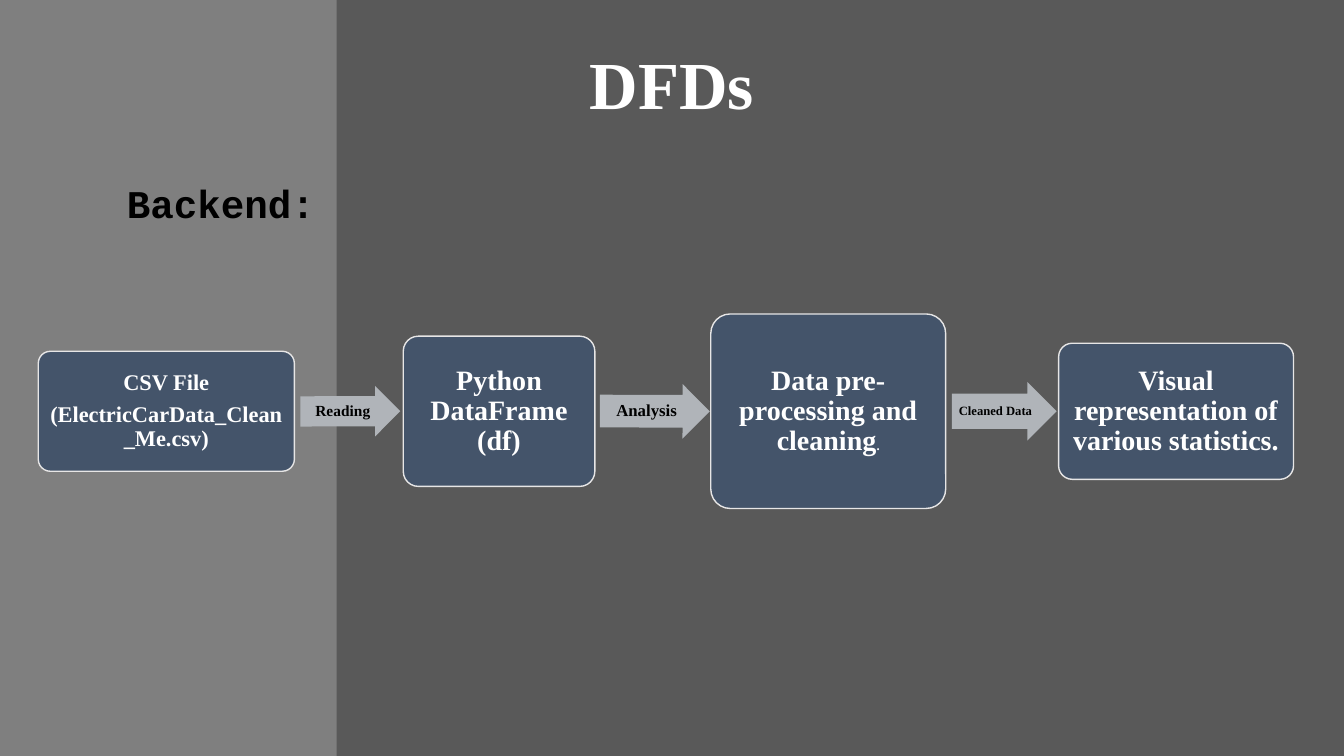
from dataclasses import dataclass

from lxml.etree import SubElement
from pptx import Presentation
from pptx.dml.color import RGBColor as RGB
from pptx.enum.shapes import MSO_SHAPE as Shape
from pptx.enum.text import MSO_ANCHOR as Anchor, MSO_AUTO_SIZE as Fit, PP_ALIGN as Align
from pptx.oxml.ns import qn
from pptx.util import Inches, Pt


@dataclass(frozen=True)
class Theme:
    back: str = "595959"
    panel: str = "A5A5A5"
    box: str = "44546A"
    edge: str = "E7E6E6"
    arrow: str = "B0B4B9"
    light: str = "FFFFFF"
    dark: str = "000000"
    serif: str = "Times New Roman"
    mono: str = "Courier New"
    title: int = 48
    head: int = 28
    body: int = 20
    small: int = 16
    dot: int = 9


MID = 4.08  # height of the flow's centre line

# left, width, height, inset, size, paragraphs, closing mark
STEPS = [
    (0.38, 2.54, 1.19, 0.07, Theme.small, ["CSV File", "(ElectricCarData_Clean_Me.csv)"], ""),
    (4.00, 1.90, 1.49, 0.08, Theme.body, ["Python DataFrame (df)"], ""),
    (7.05, 2.33, 1.93, 0.08, Theme.body, ["Data pre-processing and cleaning"], "."),
    (10.50, 2.33, 1.35, 0.08, Theme.body, ["Visual representation of various statistics."], ""),
]

# left, width, height, turn, size, label
FLOWS = [
    (2.98, 0.99, 0.50, 359.8, 11, "Reading"),
    (5.95, 1.09, 0.54, 0.2, 12, "Analysis"),
    (9.44, 1.04, 0.58, 0, 9, "Cleaned Data"),
]


class Deck:
    def __init__(self, theme):
        self.theme = theme
        self.prs = Presentation()
        self.prs.slide_width, self.prs.slide_height = Inches(13.33), Inches(7.5)
        self.slide = self.prs.slides.add_slide(self.prs.slide_layouts[5])
        fill = self.slide.background.fill
        fill.solid()
        fill.fore_color.rgb = RGB.from_string(theme.back)

    def style(self, para, size, color, face):
        font = para.font
        font.name, font.size, font.bold = face, Pt(size), True
        font.color.rgb = RGB.from_string(color)

    def shape(self, kind, left, top, width, height, color):
        shape = self.slide.shapes.add_shape(
            kind, Inches(left), Inches(top), Inches(width), Inches(height))
        shape.shadow.inherit = False
        shape.fill.solid()
        shape.fill.fore_color.rgb = RGB.from_string(color)
        shape.line.fill.background()
        return shape

    def label(self, shape, lines, size, color, inset):
        """Write centred lines inside a shape."""
        frame = shape.text_frame
        frame.word_wrap = True
        frame.vertical_anchor = Anchor.MIDDLE
        frame.margin_left = frame.margin_right = Inches(inset)
        frame.margin_top = frame.margin_bottom = Inches(inset)
        frame.text = "\n".join(lines)
        for para in frame.paragraphs:
            para.alignment, para.line_spacing = Align.CENTER, 0.9
            para.space_after = Pt(0.35 * size)
            self.style(para, size, color, self.theme.serif)

    def panel(self, width):
        shape = self.shape(Shape.RECTANGLE, 0, 0, width, 7.5, self.theme.panel)
        tint = shape.fill._xPr.find(qn("a:solidFill"))[0]
        SubElement(tint, qn("a:alpha")).set("val", "50000")

    def title(self, text):
        box = self.slide.shapes.title
        box.left, box.top = Inches(5.68), Inches(0.15)
        box.width, box.height = Inches(1.97), Inches(1.45)
        frame = box.text_frame
        frame.text = text
        frame.vertical_anchor = Anchor.MIDDLE
        para = frame.paragraphs[0]
        para.alignment, para.line_spacing = Align.CENTER, 0.9
        self.style(para, self.theme.title, self.theme.light, self.theme.serif)

    def heading(self, text):
        box = self.slide.shapes.add_textbox(
            Inches(1.16), Inches(1.73), Inches(2.28), Inches(0.57))
        frame = box.text_frame
        frame.word_wrap = True
        frame.auto_size = Fit.SHAPE_TO_FIT_TEXT
        frame.text = text
        self.style(frame.paragraphs[0], self.theme.head, self.theme.dark, self.theme.mono)

    def step(self, left, width, height, inset, size, lines, mark):
        shape = self.shape(Shape.ROUNDED_RECTANGLE, left, MID - height / 2,
                           width, height, self.theme.box)
        shape.adjustments[0] = 0.1
        shape.line.color.rgb = RGB.from_string(self.theme.edge)
        shape.line.width = Pt(1)
        self.label(shape, lines, size, self.theme.light, inset)
        if mark:
            run = shape.text_frame.paragraphs[-1].add_run()
            run.text = mark
            run.font.size = Pt(self.theme.dot)

    def flow(self, left, width, height, turn, size, text):
        shape = self.shape(Shape.RIGHT_ARROW, left, MID - height / 2,
                           width, height, self.theme.arrow)
        shape.adjustments[0] = 0.6
        shape.adjustments[1] = 0.5
        shape.rotation = turn
        self.label(shape, [text], size, self.theme.dark, 0)


def main():
    deck = Deck(Theme())
    deck.panel(3.34)
    deck.title("DFDs")
    deck.heading("Backend:")
    for step in STEPS:
        deck.step(*step)
    for flow in FLOWS:
        deck.flow(*flow)
    deck.prs.save("out.pptx")


if __name__ == "__main__":
    main()
